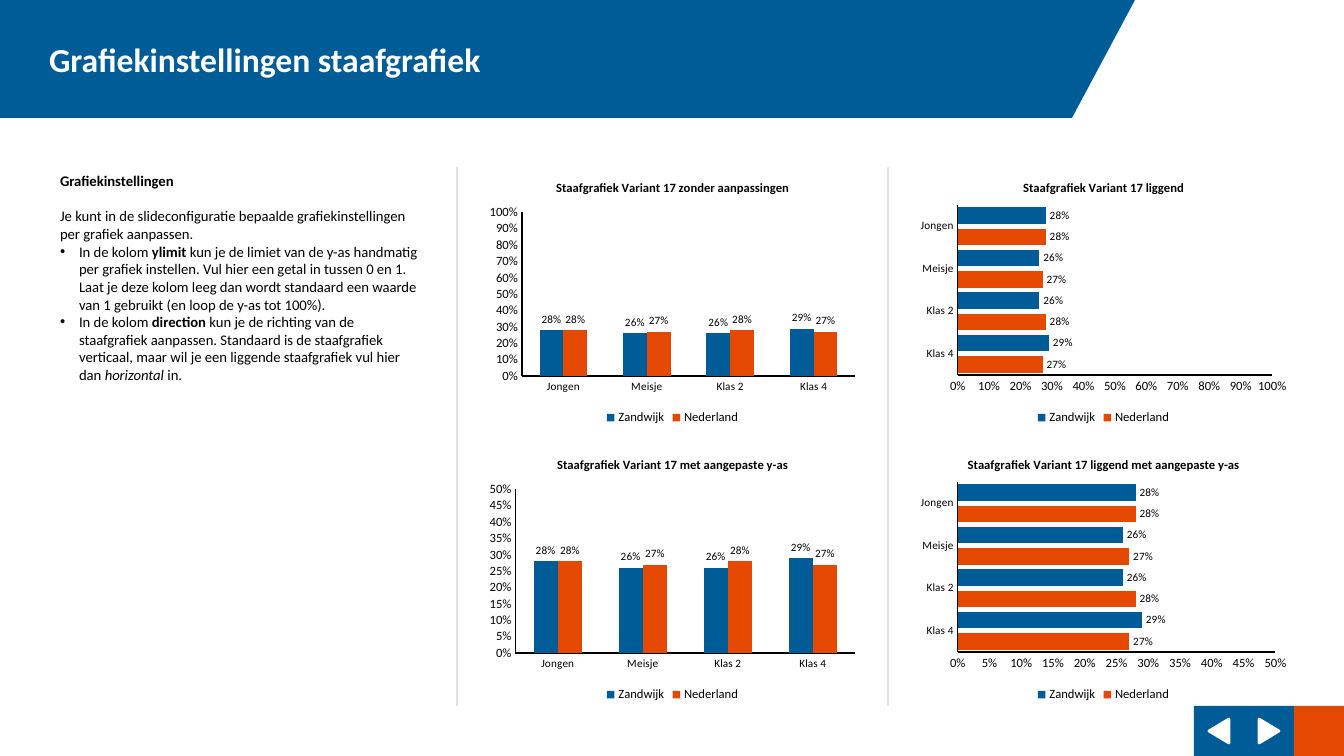
from pptx import Presentation
from pptx.chart.data import CategoryChartData as ChartData
from pptx.dml.color import RGBColor
from pptx.enum.chart import XL_CHART_TYPE as Kind, XL_LABEL_POSITION as Spot
from pptx.enum.chart import XL_LEGEND_POSITION as Legend, XL_TICK_MARK as Tick
from pptx.enum.shapes import MSO_CONNECTOR as Link, MSO_SHAPE as Form
from pptx.enum.text import MSO_ANCHOR as Anchor, MSO_AUTO_SIZE as Fit, PP_ALIGN as Align
from pptx.oxml.ns import qn
from pptx.util import Emu, Pt
from lxml.etree import SubElement

BLUE = RGBColor(0x00, 0x5C, 0x96)
ORANGE = RGBColor(0xE5, 0x48, 0x00)
GREY = RGBColor(0xE3, 0xE3, 0xE3)
BLACK = RGBColor(0, 0, 0)
WHITE = RGBColor(255, 255, 255)

CATS = ["Jongen", "Meisje", "Klas 2", "Klas 4"]
SERIES = [
    ("Zandwijk", [0.28, 0.26, 0.26, 0.29], BLUE),
    ("Nederland", [0.28, 0.27, 0.28, 0.27], ORANGE),
]
# Text, bulleted, points after; each run is (text, bold, italic)
BODY = [
    ([("Grafiekinstellingen", True, False)], False, 12.6),
    ([("Je kunt in de slideconfiguratie bepaalde grafiekinstellingen per grafiek "
       "aanpassen.", False, False)], False, 0),
    ([("In de kolom ", False, False), ("ylimit", True, False),
      (" kun je de limiet van de y-as handmatig per grafiek instellen. Vul hier een "
       "getal in tussen 0 en 1. Laat je deze kolom leeg dan wordt standaard een waarde "
       "van 1 gebruikt (en loop de y-as tot 100%).", False, False)], True, 0),
    ([("In de kolom ", False, False), ("direction", True, False),
      (" kun je de richting van de staafgrafiek aanpassen. Standaard is de staafgrafiek "
       "verticaal, maar wil je een liggende staafgrafiek vul hier dan ", False, False),
      ("horizontal", False, True), (" in.", False, False)], True, 0),
]
# Title, left, top, upper limit, horizontal
CHARTS = [
    ("Staafgrafiek Variant 17 zonder aanpassingen", 482, 167, 1, False),
    ("Staafgrafiek Variant 17 met aangepaste y-as", 482, 444, 0.5, False),
    ("Staafgrafiek Variant 17 liggend", 913, 167, 1, True),
    ("Staafgrafiek Variant 17 liggend met aangepaste y-as", 913, 444, 0.5, True),
]


def px(*nums):
    """Turn pixels into EMU, at 100.8 pixels to the inch."""
    return [Emu(round(num * 914400 / 100.8)) for num in nums]


class Board:
    face = "Calibri"

    def __init__(self, slide):
        self.slide = slide
        self.shapes = slide.shapes

    def style(self, font, size, color=BLACK, bold=False):
        font.name, font.size, font.bold = self.face, Pt(size), bold
        font.color.rgb = color

    def move(self, shape, *box):
        shape.left, shape.top, shape.width, shape.height = px(*box)

    def title(self, text, *box):
        shape = self.shapes.title
        self.move(shape, *box)
        shape.fill.solid()
        shape.fill.fore_color.rgb = BLUE
        frame = shape.text_frame
        frame.text = text
        frame.auto_size = Fit.NONE
        frame.vertical_anchor = Anchor.MIDDLE
        frame.margin_left = px(49)[0]
        para = frame.paragraphs[0]
        para.alignment = Align.LEFT
        self.style(para.font, 24, WHITE, True)

    def body(self, items, *box):
        shape = self.slide.placeholders[1]
        self.move(shape, *box)
        frame = shape.text_frame
        frame.word_wrap = True
        frame.auto_size = Fit.NONE
        frame.vertical_anchor = Anchor.TOP
        for num, (runs, dot, after) in enumerate(items):
            para = frame.add_paragraph() if num else frame.paragraphs[0]
            self.style(para.font, 10.5)
            para.space_before, para.space_after = Pt(0), Pt(after)
            self.bullet(para, dot)
            for text, bold, slant in runs:
                run = para.add_run()
                run.text = text
                if bold:
                    run.font.bold = True
                if slant:
                    run.font.italic = True

    def bullet(self, para, dot):
        props = para._p.get_or_add_pPr()
        inset = px(19)[0] if dot else 0
        props.set("marL", str(inset))
        props.set("indent", str(-inset))
        if dot:
            mark = props.makeelement(qn("a:buChar"), {"char": "•"})
        else:
            mark = props.makeelement(qn("a:buNone"), {})
        props.find(qn("a:defRPr")).addprevious(mark)

    def shape(self, form, color, *box, turn=0, edge=0):
        shape = self.shapes.add_shape(form, *px(*box))
        shape.shadow.inherit = False
        shape.fill.solid()
        shape.fill.fore_color.rgb = color
        shape.rotation = turn
        if edge:
            shape.line.color.rgb = color
            shape.line.width = Pt(edge)
        else:
            shape.line.fill.background()
        return shape

    def line(self, *ends):
        line = self.shapes.add_connector(Link.STRAIGHT, *px(*ends))
        line.line.color.rgb = GREY
        line.line.width = Pt(1)
        SubElement(line._element.spPr, qn("a:effectLst"))

    def axis(self, axis, size):
        axis.has_major_gridlines = False
        axis.major_tick_mark = axis.minor_tick_mark = Tick.NONE
        axis.format.line.color.rgb = BLACK
        axis.format.line.width = Pt(1)
        self.style(axis.tick_labels.font, size)

    def chart(self, title, left, top, limit, flat):
        # Horizontal bars run upwards, so both orders are reversed
        step = -1 if flat else 1
        rows = SERIES[::step]
        data = ChartData(number_format="0%")
        data.categories = CATS[::step]
        for name, vals, _ in rows:
            data.add_series(name, vals[::step])
        kind = Kind.BAR_CLUSTERED if flat else Kind.COLUMN_CLUSTERED
        chart = self.shapes.add_chart(kind, *px(left, top, 381, 262), data).chart
        self.style(chart.font, 18)

        chart.has_title = True
        head = chart.chart_title
        head.include_in_layout = False
        head.text_frame.text = title
        self.style(head.text_frame.paragraphs[0].font, 9, bold=True)

        chart.has_legend = True
        chart.legend.position = Legend.BOTTOM
        chart.legend.include_in_layout = False
        self.style(chart.legend.font, 9)

        self.axis(chart.category_axis, 8)
        scale = chart.value_axis
        self.axis(scale, 9)
        scale.minimum_scale, scale.maximum_scale = 0, limit
        scale.major_unit = limit / 10
        scale.tick_labels.number_format = "0%"
        scale.tick_labels.number_format_is_linked = False

        plot = chart.plots[0]
        plot.vary_by_categories = False
        plot.gap_width = 30 if flat else 150
        plot.overlap = -30 if flat else 0
        for bars, (_, _, color) in zip(plot.series, rows):
            bars.format.fill.solid()
            bars.format.fill.fore_color.rgb = color
            tags = bars.data_labels
            tags.show_value = True
            tags.position = Spot.OUTSIDE_END
            tags.number_format = "0%"
            tags.number_format_is_linked = False
            self.style(tags.font, 8)


def main():
    deck = Presentation()
    deck.slide_width, deck.slide_height = px(1344, 756)
    board = Board(deck.slides.add_slide(deck.slide_layouts[1]))

    board.title("Grafiekinstellingen staafgrafiek", 0, 0, 1072, 118)
    slant = board.shape(Form.RIGHT_TRIANGLE, BLUE, 1072, 0, 63, 118)
    slant._element.spPr.get_or_add_xfrm().set("flipV", "1")
    board.body(BODY, 50, 167, 381, 224)

    for left in (457, 888):
        board.line(left, 167, left, 706)
    for num, color in enumerate((BLUE, BLUE, ORANGE)):
        board.shape(Form.RECTANGLE, color, 1194 + 50 * num, 706, 50, 50)
    for num, turn in enumerate((270, 90)):
        board.shape(Form.ISOSCELES_TRIANGLE, WHITE, 1207 + 50 * num, 721, 24, 20,
                    turn=turn, edge=2)
    for item in CHARTS:
        board.chart(*item)

    deck.save("out.pptx")


if __name__ == "__main__":
    main()
